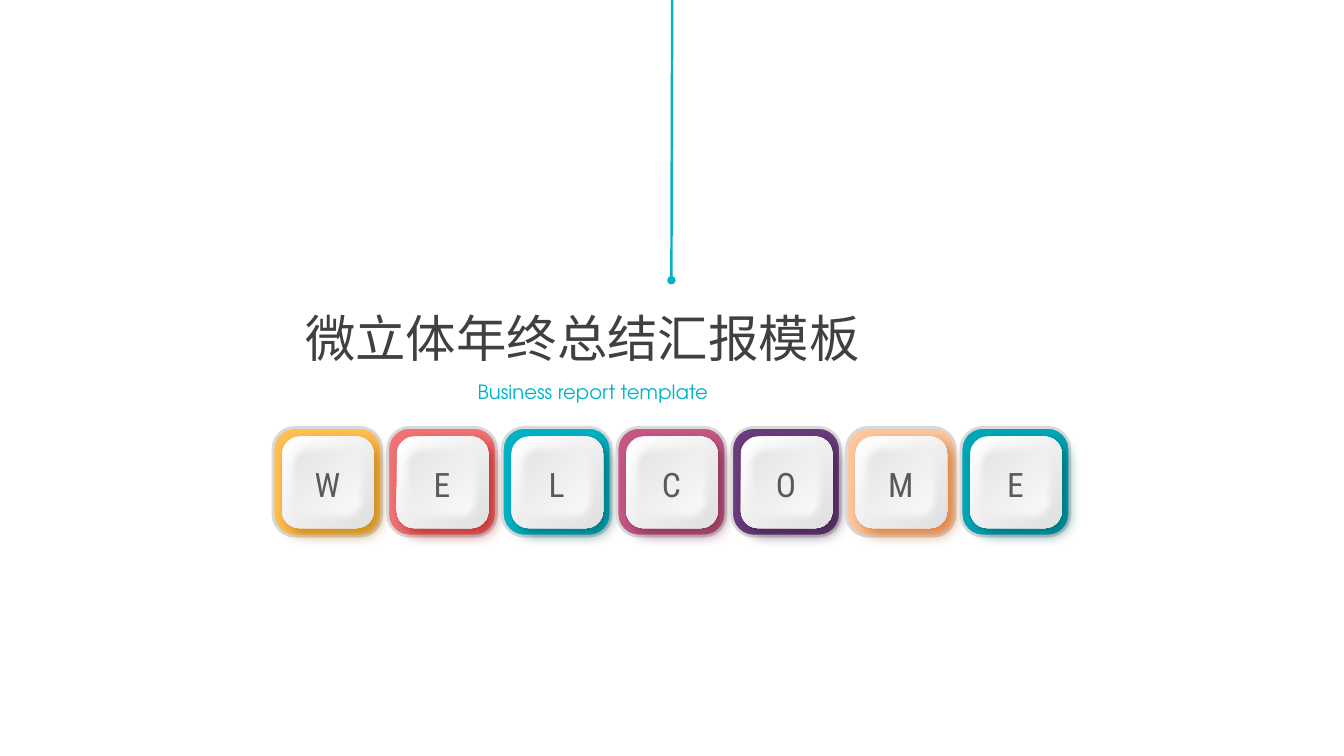
"""Build the welcome slide with its row of seven keys."""
from lxml import etree
from pptx import Presentation, util as u
from pptx.dml.color import RGBColor
from pptx.enum import shapes, text
from pptx.oxml.ns import qn

KEYS = [
    ("W", "FFBF53", "A96A00"),
    ("E", "F17475", "A21011"),
    ("L", "01B3C5", "005962"),
    ("C", "C65885", "6B2441"),
    ("O", "6A3C7C", "351E3E"),
    ("M", "FCC79F", "C75906"),
    ("E", "01A6B7", "005962"),
]
LEFT, TOP, PITCH = 6.88, 10.77, 2.89
BASE = (0, 0, 2.74, 2.74)
CAP = (0.23, 0.23, 2.31, 2.31)
FACE = (0.36, 0.38, 2.01, 2.01)
MARK = (0.66, 0.79, 1.42, 1.27)
TEAL = "01B3C5"
LABELS = [
    ("Business report template", (11.79, 9.45, 10.52, 0.86), 14, "TeX Gyre Adventor", TEAL),
    ("微立体年终总结汇报模板", (7.44, 7.62, 18.97, 1.8), 36, "Noto Sans CJK SC", "404040"),
]


def tint(code):
    """Return the colour of a hex string."""
    return RGBColor.from_string(code)


def place(box, left=0, top=0):
    """Return a box in slide lengths, moved by left and top."""
    x, y, wide, high = box
    return [u.Cm(n) for n in (left + x, top + y, wide, high)]


def tile(group, box, round_by):
    """Add a rounded square without line or shadow."""
    shape = group.shapes.add_shape(shapes.MSO_SHAPE.ROUNDED_RECTANGLE, *box)
    shape.adjustments[0] = round_by
    shape.shadow.inherit = False
    shape.line.fill.background()
    return shape


def blend(shape, first, last):
    """Fill a shape from its top left to its bottom right."""
    shape.fill.gradient()
    shape.fill.gradient_angle = 315
    for stop, code in zip(shape.fill.gradient_stops, (first, last)):
        stop.color.rgb = tint(code)


def shade(shape, code):
    """Give a shape a soft shadow to the lower right."""
    effects = shape._element.spPr.find(qn("a:effectLst"))
    outer = etree.SubElement(effects, qn("a:outerShdw"), blurRad=str(u.Pt(10)),
                             dist=str(u.Pt(6)), dir="2700000", algn="tl", rotWithShape="0")
    color = etree.SubElement(outer, qn("a:srgbClr"), val=code)
    etree.SubElement(color, qn("a:alpha"), val="64000")


def soften(shape, points):
    """Blur the edge of a shape."""
    effects = shape._element.spPr.find(qn("a:effectLst"))
    etree.SubElement(effects, qn("a:softEdge"), rad=str(u.Pt(points)))


def write(slide, words, box, size, font, code, align):
    """Add a text box with one run."""
    frame = slide.shapes.add_textbox(*box).text_frame
    frame.word_wrap = True
    frame.auto_size = text.MSO_AUTO_SIZE.SHAPE_TO_FIT_TEXT
    line = frame.paragraphs[0]
    line.alignment = align
    run = line.add_run()
    run.text = words
    run.font.size = u.Pt(size)
    run.font.name = font
    run.font.color.rgb = tint(code)
    etree.SubElement(run.font._element, qn("a:ea"), typeface=font)


def add_key(slide, left, letter, code, dark):
    """Add one key with its letter."""
    group = slide.shapes.add_group_shape()
    base = tile(group, place(BASE, left, TOP), 0.2)
    base.fill.solid()
    base.fill.fore_color.rgb = tint(code)
    base.line.color.rgb = tint("D9D9D9")
    base.line.width = u.Pt(2)
    cap = tile(group, place(CAP, left, TOP), 0.19)
    blend(cap, "FFFFFF", "E0E0E0")
    shade(cap, dark)
    face = tile(group, place(FACE, left, TOP), 0.2)
    blend(face, "E2E2E2", "FFFFFF")
    soften(face, 5)
    write(slide, letter, place(MARK, left, TOP), 24, "Roboto Condensed", "595959",
          text.PP_ALIGN.CENTER)


def add_cord(slide):
    """Add the hanging line with a dot at its end."""
    cord = slide.shapes.add_connector(shapes.MSO_CONNECTOR.STRAIGHT, u.Cm(16.94), u.Cm(-0.08),
                                      u.Cm(16.92), u.Cm(7.06))
    cord.line.color.rgb = tint(TEAL)
    cord.line.width = u.Pt(1.75)
    etree.SubElement(cord.line._get_or_add_ln(), qn("a:tailEnd"), type="oval")
    etree.SubElement(cord._element.spPr, qn("a:effectLst"))


def main():
    """Build and save the slide."""
    deck = Presentation()
    deck.slide_width, deck.slide_height = u.Cm(33.87), u.Cm(19.05)
    slide = deck.slides.add_slide(deck.slide_layouts[6])
    for spot, key in enumerate(KEYS):
        add_key(slide, LEFT + spot * PITCH, *key)
    add_cord(slide)
    for words, box, size, font, code in LABELS:
        write(slide, words, place(box), size, font, code, text.PP_ALIGN.JUSTIFY)
    deck.save("out.pptx")


if __name__ == "__main__":
    main()
